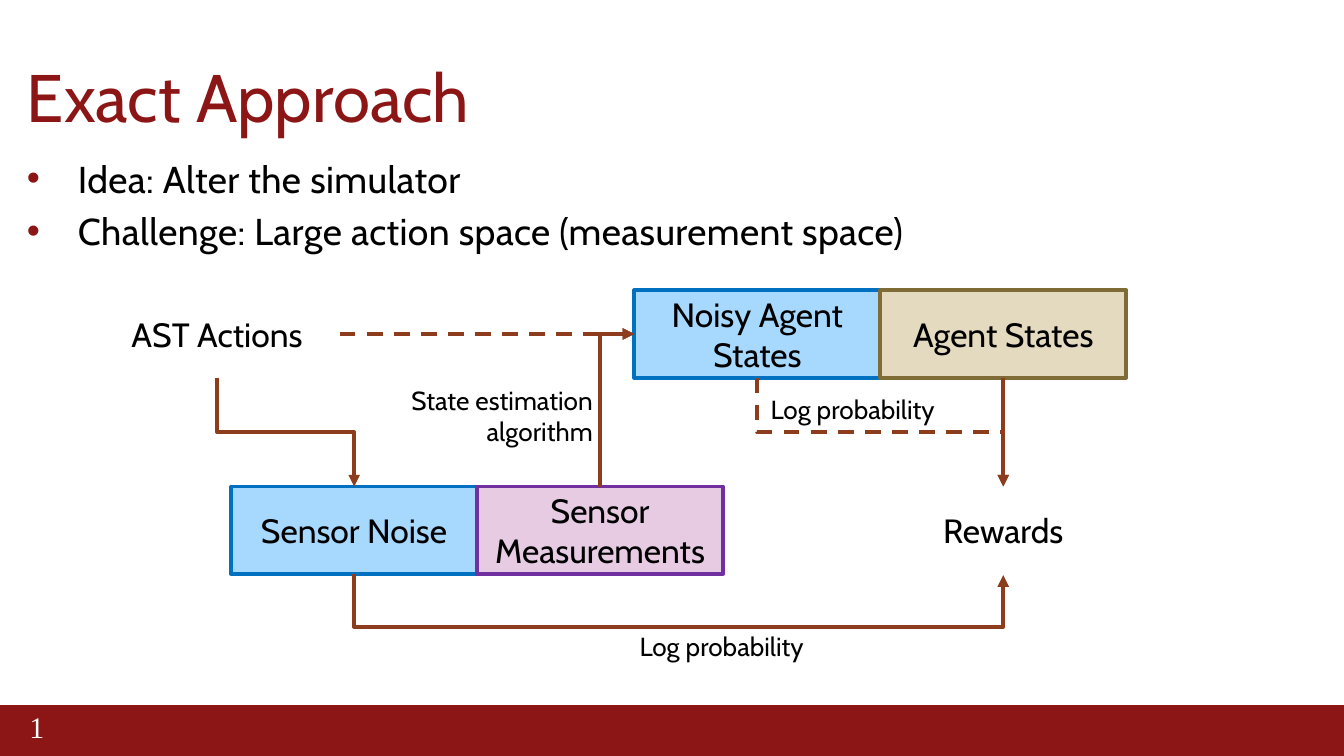
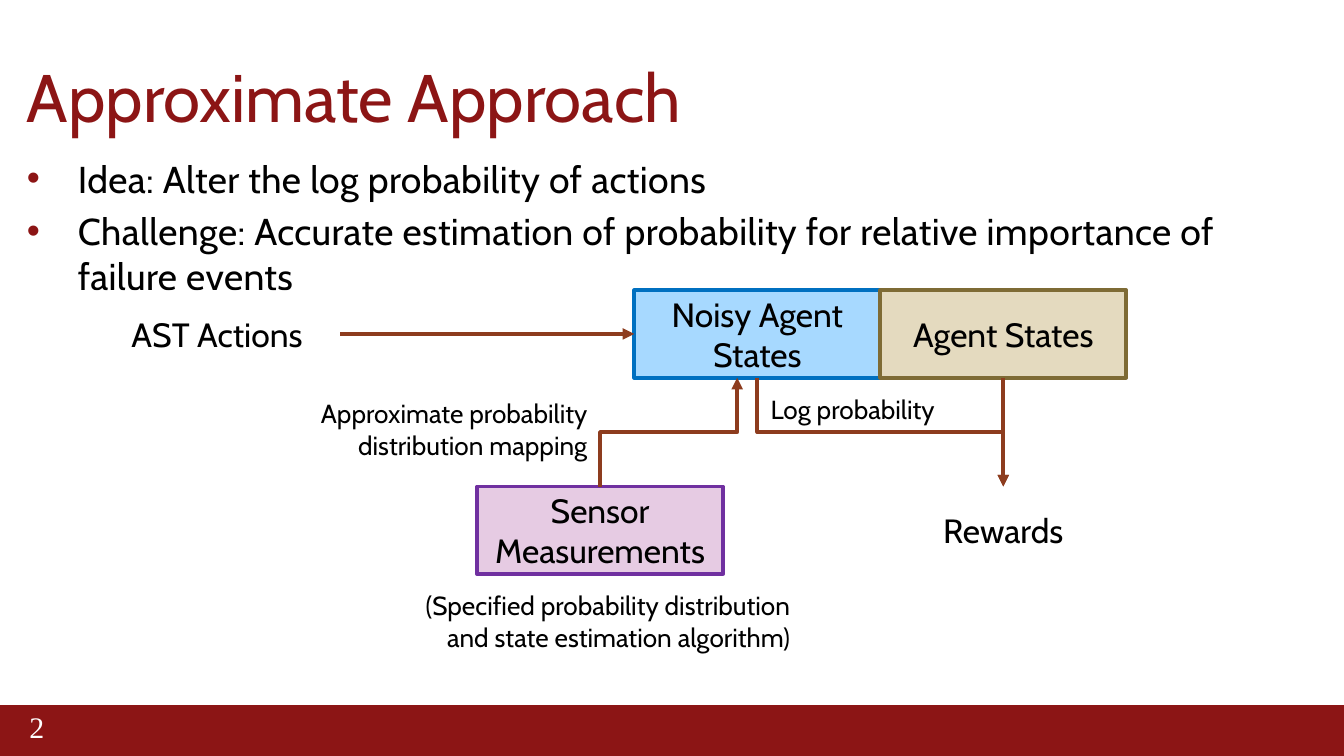
"""Build two slides comparing the exact and approximate approaches as flow diagrams."""
from dataclasses import dataclass

import lxml.etree
import pptx
import pptx.dml.color
import pptx.enum.dml
import pptx.enum.shapes
import pptx.enum.text
import pptx.oxml.ns
import pptx.util

Inches, Pt = pptx.util.Inches, pptx.util.Pt
RGB = pptx.dml.color.RGBColor.from_string
qn = pptx.oxml.ns.qn
ALIGN, ANCHOR = pptx.enum.text.PP_ALIGN, pptx.enum.text.MSO_ANCHOR
SHAPE, CONN = pptx.enum.shapes.MSO_SHAPE, pptx.enum.shapes.MSO_CONNECTOR


@dataclass(frozen=True)
class Theme:
    font: str = "Cabin"
    number_font: str = "Times New Roman"
    red: str = "8C1515"
    arrow: str = "8D3C1E"
    black: str = "000000"
    white: str = "FFFFFF"
    blue: tuple = ("A7D9FF", "0070C0")
    tan: tuple = ("E4DABF", "7E6B35")
    purple: tuple = ("E6CBE3", "7030A0")
    plain: tuple = ("FFFFFF", None)
    title: int = 36
    body: int = 20
    node: int = 18
    number: int = 16
    label: int = 14
    stroke: float = 2.08


T = Theme()
W = 10
H = W * 9 / 16
BAND = 5.25
MARGIN = 0.2
CW, RH = 1.83, 0.65
TOP, LOW = 2.16, 3.62
ROW = TOP + RH / 2
UPPER, LOWER = 4.72, 1.72

NODES = {
    "AST Actions": (0.7, TOP, T.plain),
    "Noisy Agent States": (UPPER, TOP, T.blue),
    "Agent States": (UPPER + CW, TOP, T.tan),
    "Sensor Noise": (LOWER, LOW, T.blue),
    "Sensor Measurements": (LOWER + CW, LOW, T.purple),
    "Rewards": (UPPER + CW, LOW, T.plain),
}
ACTIONS, NOISY, AGENT, NOISE, SENSOR, REWARDS = [
    x + CW / 2 for x, y, paint in NODES.values()]


def add_text(s, at, text, size, color=T.black, font=T.font, align=ALIGN.LEFT,
             anchor=ANCHOR.TOP, paint=None, wrap=True, stroke=T.stroke):
    at = [Inches(v) for v in at]
    if paint:
        sp = s.shapes.add_shape(SHAPE.RECTANGLE, *at)
        sp.shadow.inherit = False
        fill, line = paint
        sp.fill.solid()
        sp.fill.fore_color.rgb = RGB(fill)
        if line:
            sp.line.color.rgb = RGB(line)
            sp.line.width = Pt(stroke)
        else:
            sp.line.fill.background()
    else:
        sp = s.shapes.add_textbox(*at)
    tf = sp.text_frame
    tf.word_wrap = wrap
    tf.vertical_anchor = anchor
    tf.text = text
    for p in tf.paragraphs:
        p.alignment = align
        for r in p.runs:
            r.font.size = Pt(size)
            r.font.name = font
            r.font.color.rgb = RGB(color)
    return tf


def add_arrow(s, x1, y1, x2, y2, dash=False, geometry=None, bend=None):
    if geometry:
        cx, cy = (x1 + x2) / 2, (y1 + y2) / 2
        run, rise = (y1 - y2) / 2, (x2 - x1) / 2
        ends = cx - run, cy - rise, cx + run, cy + rise
    else:
        ends = x1, y1, x2, y2
    kind = CONN.ELBOW if geometry else CONN.STRAIGHT
    c = s.shapes.add_connector(kind, *[Inches(v) for v in ends])
    c.line.color.rgb = RGB(T.arrow)
    c.line.width = Pt(T.stroke)
    if dash:
        c.line.dash_style = pptx.enum.dml.MSO_LINE.DASH
    spPr = c._element.spPr
    lxml.etree.SubElement(spPr.find(qn("a:ln")), qn("a:tailEnd"), type="triangle")
    lxml.etree.SubElement(spPr, qn("a:effectLst"))
    if geometry:
        spPr.find(qn("a:xfrm")).set("rot", str(270 * 60000))
        geom = spPr.find(qn("a:prstGeom"))
        geom.set("prst", geometry)
        if bend:
            lxml.etree.SubElement(geom.find(qn("a:avLst")), qn("a:gd"),
                                  name="adj1", fmla=f"val {round(bend * 100000)}")


Z, L = "bentConnector3", "bentConnector2"
LABEL_H, PAIR_H = 0.34, 0.57
LOG = ("Log probability", NOISY, 2.88, 1.45, LABEL_H)
DOWN = dict(x1=AGENT, y1=TOP + RH, x2=REWARDS, y2=LOW)
ACROSS = dict(x1=0.7 + CW, y1=ROW, x2=UPPER, y2=ROW)
JOIN = dict(x1=NOISY, y1=TOP + RH, x2=REWARDS, y2=LOW, geometry=Z)

SLIDES = [
    dict(
        title="Exact Approach",
        bullets=["Idea: Alter the simulator",
                 "Challenge: Large action space (measurement space)"],
        nodes=list(NODES),
        arrows=[
            dict(ACROSS, dash=True),
            DOWN,
            dict(x1=NOISE, y1=LOW + RH, x2=REWARDS, y2=LOW + RH + 0.01,
                 geometry=Z, bend=40),
            dict(x1=ACTIONS, y1=TOP + RH, x2=NOISE, y2=LOW, geometry=Z),
            dict(x1=SENSOR, y1=LOW, x2=UPPER, y2=ROW, geometry=L),
            dict(JOIN, dash=True),
        ],
        labels=[("Log probability", 4.66, 4.64, 1.45, LABEL_H), LOG,
                ("State estimation algorithm", 2.18, 2.81, 2.33, PAIR_H)],
    ),
    dict(
        title="Approximate Approach",
        bullets=["Idea: Alter the log probability of actions",
                 "Challenge: Accurate estimation of probability for relative "
                 "importance of failure events"],
        nodes=[n for n in NODES if n != "Sensor Noise"],
        arrows=[
            ACROSS,
            DOWN,
            JOIN,
            dict(x1=SENSOR, y1=LOW, x2=NOISY - 0.15, y2=TOP + RH, geometry=Z),
        ],
        labels=[("Approximate probability distribution mapping",
                 2.16, 2.91, 2.31, PAIR_H), LOG,
                ("(Specified probability distribution and state estimation algorithm)",
                 2.72, 4.34, 3.26, PAIR_H)],
    ),
]

prs = pptx.Presentation()
prs.slide_width, prs.slide_height = Inches(W), Inches(H)

for number, content in enumerate(SLIDES, 1):
    s = prs.slides.add_slide(prs.slide_layouts[6])
    add_text(s, (0, BAND, W, H - BAND), "", T.number, paint=(T.red, T.red), stroke=0.75)
    add_text(s, (0.12, BAND + 0.01, 0.93, 0.3), str(number), T.number, T.white,
             T.number_font, anchor=ANCHOR.MIDDLE)

    tf = add_text(s, (MARGIN, 0.4, 8.43, 0.66), content["title"], T.title, T.red,
                  anchor=ANCHOR.BOTTOM)
    tf.margin_left = 0
    tf.paragraphs[0].line_spacing = 0.85

    tf = add_text(s, (MARGIN, 1.11, W - 2 * MARGIN, 4.07),
                  "\n".join(content["bullets"]), T.body)
    tf.margin_left = tf.margin_right = 0
    for i, p in enumerate(tf.paragraphs):
        if i:
            p.space_before = Pt(T.body * 0.2)
        pPr = p._p.get_or_add_pPr()
        pPr.set("marL", str(Inches(0.38)))
        pPr.set("indent", str(-Inches(0.38)))
        buClr = lxml.etree.SubElement(pPr, qn("a:buClr"))
        lxml.etree.SubElement(buClr, qn("a:srgbClr"), val=T.red)
        lxml.etree.SubElement(pPr, qn("a:buFont"), typeface="Arial")
        lxml.etree.SubElement(pPr, qn("a:buChar"), char="•")
        for r in p.runs:
            r._r.get_or_add_rPr().set("spc", "20")

    for name in content["nodes"]:
        x, y, paint = NODES[name]
        add_text(s, (x, y, CW, RH), name, T.node, align=ALIGN.CENTER,
                 anchor=ANCHOR.MIDDLE, paint=paint)
    for arrow in content["arrows"]:
        add_arrow(s, **arrow)
    for text, *at in content["labels"]:
        pair = at[3] == PAIR_H
        add_text(s, at, text, T.label, wrap=pair,
                 align=ALIGN.RIGHT if pair else ALIGN.LEFT)

prs.save("out.pptx")
